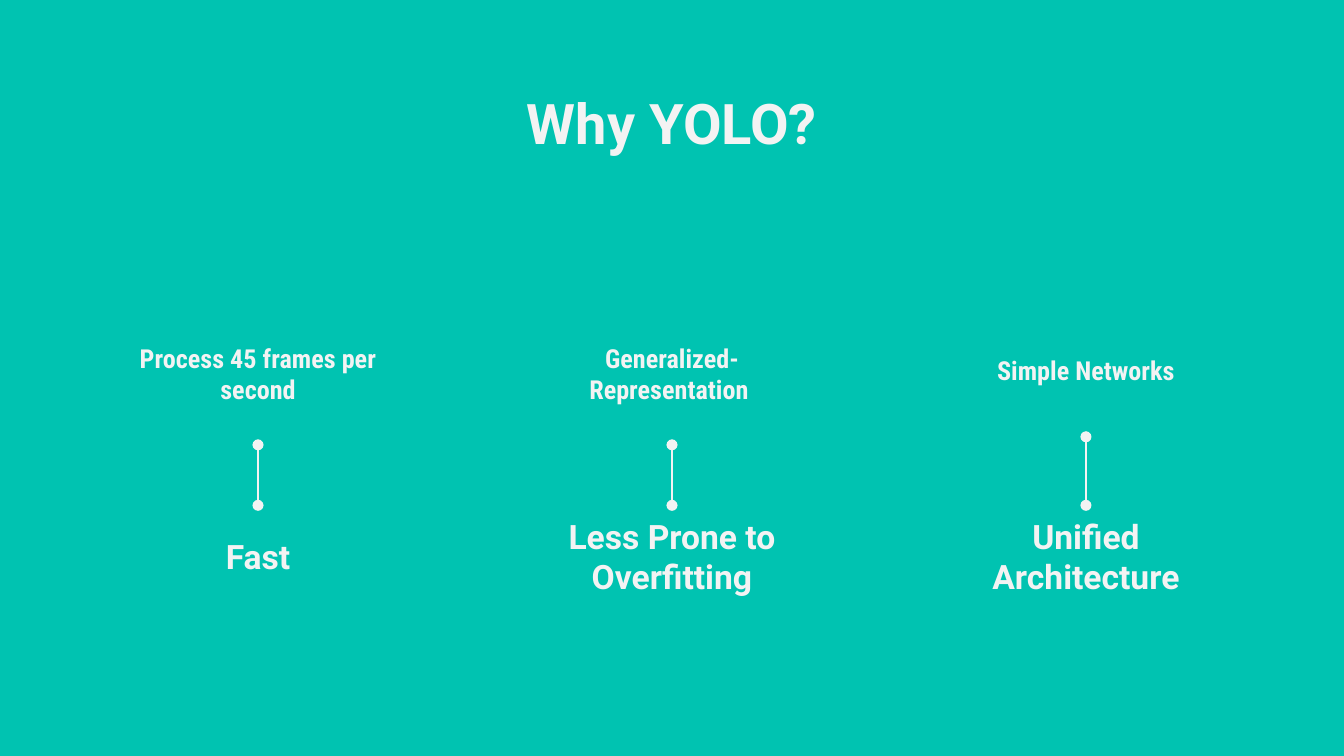
from dataclasses import dataclass

from lxml.etree import SubElement
from pptx import Presentation
from pptx.dml.color import RGBColor
from pptx.enum.shapes import MSO_CONNECTOR as Connector
from pptx.enum.text import MSO_ANCHOR as Anchor, PP_ALIGN as Align
from pptx.oxml.ns import qn
from pptx.slide import Slide
from pptx.util import Inches, Pt

WIDTH = 10
HEIGHT = WIDTH * 9 / 16
TEAL, WHITE = "00C3B1", "F3F3F3"
COLUMN_STEP = 3.08
DETAIL_TOP, HEADING_TOP = 2.25, 3.76


@dataclass(frozen=True)
class Reason:
    heading: str
    detail: str
    detail_height: float = 1.06


@dataclass(frozen=True)
class TextStyle:
    font: str
    size: float
    anchor: Anchor = Anchor.MIDDLE
    inset: float = 0.1
    space_after: float = 0


TITLE = TextStyle("Roboto", 30, anchor=Anchor.TOP)
HEADING = TextStyle("Roboto", 18, inset=0)
DETAIL = TextStyle("Roboto Condensed", 14, space_after=16)

REASONS = [
    Reason("Fast", "Process 45 frames per second"),
    Reason("Less Prone to Overfitting", "Generalized-Representation "),
    Reason("Unified Architecture", "Simple Networks", detail_height=1),
]


def rgb(color: str) -> RGBColor:
    return RGBColor.from_string(color)


def add_text(s: Slide, text: str, center: float, top: float,
             width: float, height: float, style: TextStyle) -> None:
    sp = s.shapes.add_textbox(Inches(center - width / 2), Inches(top),
                              Inches(width), Inches(height))
    tf = sp.text_frame
    tf.word_wrap = True
    tf.vertical_anchor = style.anchor
    tf.margin_left = tf.margin_right = Inches(style.inset)
    tf.margin_top = tf.margin_bottom = Inches(style.inset)
    p = tf.paragraphs[0]
    p.alignment = Align.CENTER
    p.space_after = Pt(style.space_after)
    r = p.add_run()
    r.text = text
    r.font.name = style.font
    r.font.size = Pt(style.size)
    r.font.bold = True
    r.font.color.rgb = rgb(WHITE)


def add_link(s: Slide, x: float, top: float, bottom: float) -> None:
    """Draw a vertical line with a dot at each end."""
    sp = s.shapes.add_connector(Connector.STRAIGHT, Inches(x), Inches(top),
                                Inches(x), Inches(bottom))
    sp.line.color.rgb = rgb(WHITE)
    sp.line.width = Pt(1.5)
    ln = sp.line._get_or_add_ln()
    for end in ("a:headEnd", "a:tailEnd"):
        SubElement(ln, qn(end), type="oval", w="med", len="med")
    SubElement(sp._element.spPr, qn("a:effectLst"))


def add_reason(s: Slide, column: int, reason: Reason) -> None:
    center = WIDTH / 2 + (column - 1) * COLUMN_STEP
    add_text(s, reason.detail, center, DETAIL_TOP, 2.25,
             reason.detail_height, DETAIL)
    add_text(s, reason.heading, center, HEADING_TOP, 1.68, 0.75, HEADING)
    add_link(s, center, DETAIL_TOP + reason.detail_height, HEADING_TOP)


def main() -> None:
    prs = Presentation()
    prs.slide_width, prs.slide_height = Inches(WIDTH), Inches(HEIGHT)
    s = prs.slides.add_slide(prs.slide_layouts[6])
    s.background.fill.solid()
    s.background.fill.fore_color.rgb = rgb(TEAL)

    add_text(s, "Why YOLO?", WIDTH / 2, HEIGHT * 0.1, 8.43, 0.63, TITLE)
    for column, reason in enumerate(REASONS):
        add_reason(s, column, reason)
    prs.save("out.pptx")


if __name__ == "__main__":
    main()
